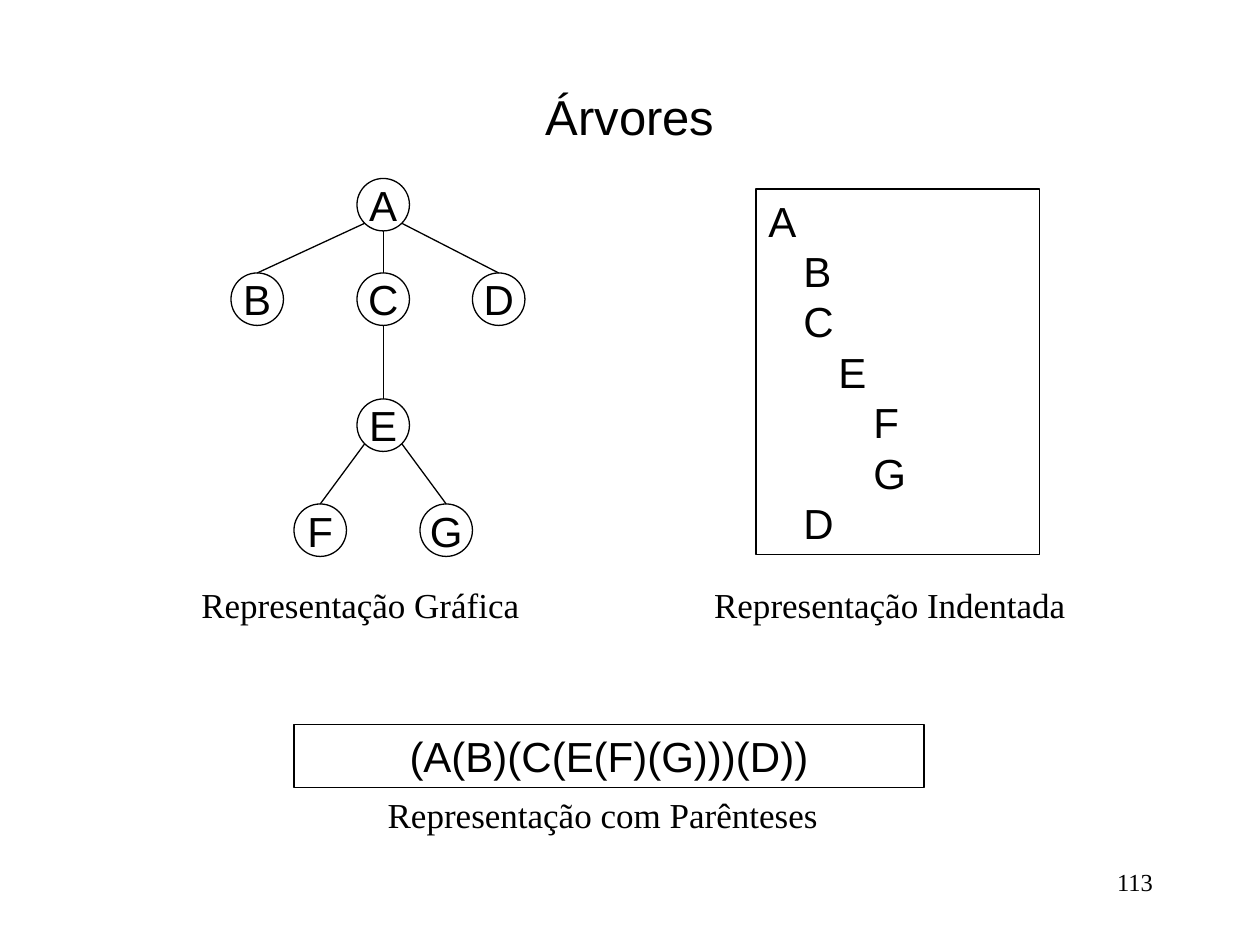
from math import sqrt

from lxml.etree import SubElement
from pptx import Presentation
from pptx.dml.color import RGBColor
from pptx.enum.shapes import MSO_CONNECTOR as CONN, MSO_SHAPE as SHAPE
from pptx.enum.text import MSO_ANCHOR as ANCHOR, MSO_AUTO_SIZE as AUTO, PP_ALIGN as AL
from pptx.oxml.ns import qn
from pptx.util import Pt

COLORS = {"ink": "000000", "paper": "FFFFFF"}
SANS, SERIF = "Arial", "Times New Roman"
LINE_W = 0.75
NODE = 30        # circle diameter
INDENT = 20      # one level of the indented list

# Circle positions within the tree box, and the parent of each node
NODES = {"A": (72, 0), "B": (0, 54), "C": (72, 54), "D": (138, 54),
         "E": (72, 126), "F": (36, 186), "G": (108, 186)}
EDGES = ["AB", "AC", "AD", "CE", "EF", "EG"]
OUTLINE = [("A", 0), ("B", 1), ("C", 1), ("E", 2), ("F", 3), ("G", 3), ("D", 1)]


def color(name):
    return RGBColor.from_string(COLORS[name])


def format_text(tf, size, font, align, anchor=ANCHOR.TOP, wrap=True):
    tf.word_wrap = wrap
    tf.auto_size = AUTO.NONE
    tf.vertical_anchor = anchor
    for p in tf.paragraphs:
        p.alignment = align
        p.line_spacing = Pt(size * 1.2)
        for r in p.runs:
            r.font.size, r.font.name = Pt(size), font
            r.font.color.rgb = color("ink")


def add_outlined(s, kind, box):
    sp = s.shapes.add_shape(kind, *map(Pt, box))
    sp.shadow.inherit = False
    sp.fill.background()
    sp.line.color.rgb = color("ink")
    sp.line.width = Pt(LINE_W)
    return sp


def add_edge(s, x1, y1, x2, y2):
    line = s.shapes.add_connector(CONN.STRAIGHT, Pt(x1), Pt(y1), Pt(x2), Pt(y2))
    line.line.color.rgb = color("ink")
    line.line.width = Pt(LINE_W)
    SubElement(line._element.spPr, qn("a:effectLst"))


def add_title(s, text, box):
    sp = s.shapes.title
    sp.left, sp.top, sp.width, sp.height = map(Pt, box)
    sp.text_frame.text = text
    format_text(sp.text_frame, 28, SANS, AL.CENTER, ANCHOR.MIDDLE)


def add_label(s, text, box, size=20, align=AL.CENTER, wrap=False):
    tf = s.shapes.add_textbox(*map(Pt, box)).text_frame
    tf.text = text
    format_text(tf, size, SERIF, align, wrap=wrap)


def add_tree(s, left, top):
    radius = NODE / 2
    for parent, child in EDGES:
        (px, py), (cx, cy) = NODES[parent], NODES[child]
        side = (cx > px) - (cx < px)
        # Leave the parent straight down or at 45 degrees
        drop = radius / sqrt(2) if side else radius
        add_edge(s, left + px + radius + side * drop, top + py + radius + drop,
                 left + cx + radius, top + cy)
    for name, (x, y) in NODES.items():
        sp = add_outlined(s, SHAPE.OVAL, (left + x, top + y, NODE, NODE))
        sp.text_frame.text = name
        format_text(sp.text_frame, 24, SANS, AL.CENTER, ANCHOR.MIDDLE, wrap=False)


def add_indented(s, box):
    tf = add_outlined(s, SHAPE.RECTANGLE, box).text_frame
    tf.text = "\n".join(name for name, _ in OUTLINE)
    for p, (_, level) in zip(tf.paragraphs, OUTLINE):
        p._p.get_or_add_pPr().set("marL", str(Pt(INDENT * level)))
    format_text(tf, 24, SANS, AL.LEFT)


def add_parentheses(s, box):
    tf = add_outlined(s, SHAPE.RECTANGLE, box).text_frame
    tf.text = "(A(B)(C(E(F)(G)))(D))"
    format_text(tf, 24, SANS, AL.CENTER)


def main():
    prs = Presentation()
    prs.slide_width, prs.slide_height = Pt(720), Pt(540)
    s = prs.slides.add_slide(prs.slide_layouts[5])
    s.background.fill.solid()
    s.background.fill.fore_color.rgb = color("paper")

    add_title(s, "Árvores", (54, 48, 612, 36))

    # Graphic form
    add_tree(s, 132, 102)
    add_label(s, "Representação Gráfica", (108, 330, 196, 31.5))

    # Indented form
    add_indented(s, (432, 108, 162, 208.8))
    add_label(s, "Representação Indentada", (401, 330, 215, 31.5))

    # Parenthesised form
    add_parentheses(s, (168, 414, 360, 36))
    add_label(s, "Representação com Parênteses", (214.5, 450, 260, 31.5))

    # Page number
    add_label(s, "113", (516, 492, 150, 36), 14, AL.RIGHT, wrap=True)

    prs.save("out.pptx")


if __name__ == "__main__":
    main()
